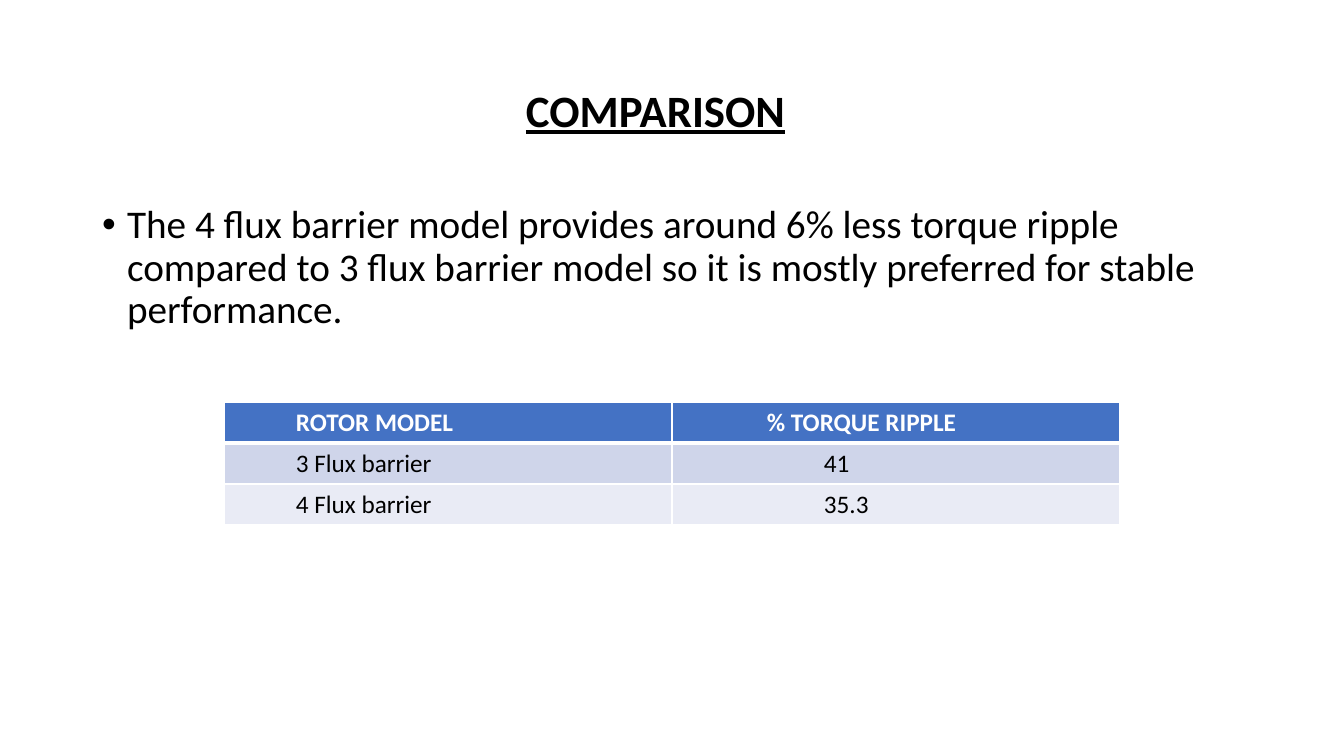
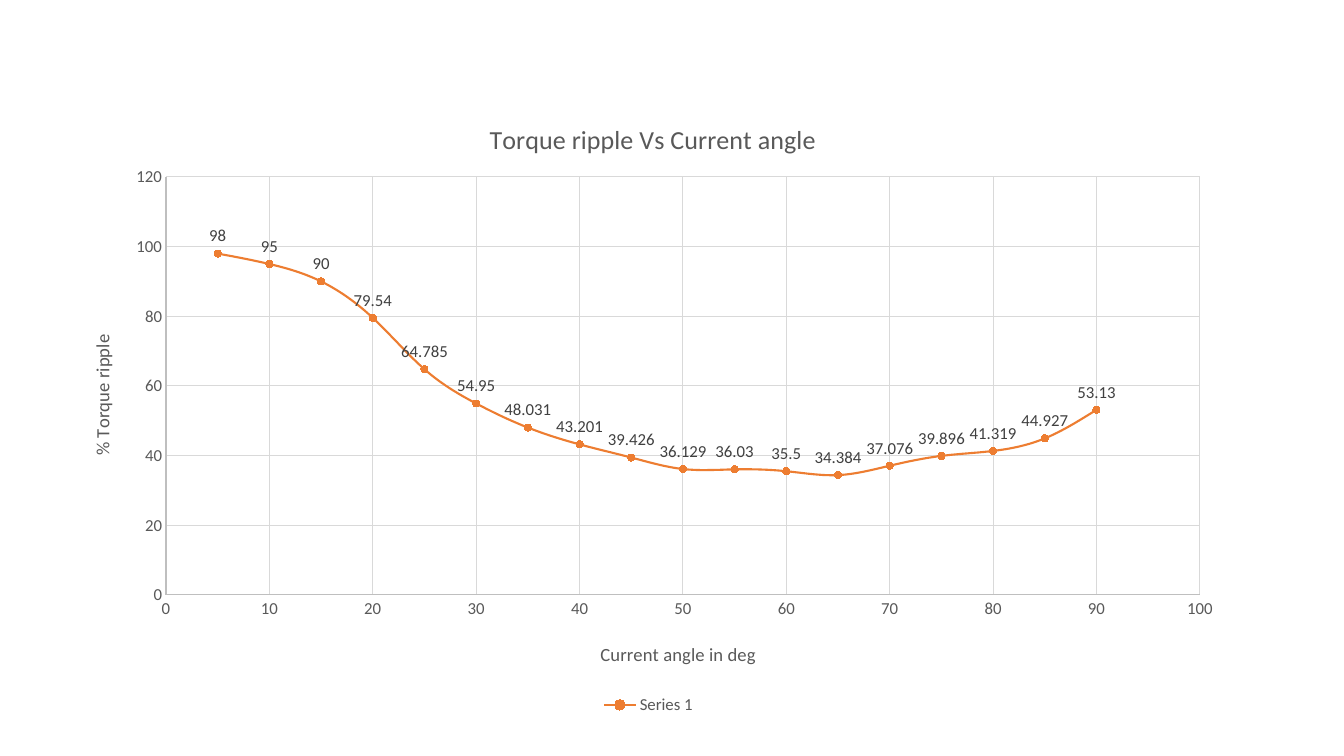
import pptx
import pptx.chart.data
import pptx.chart.datalabel
import pptx.dml.color
import pptx.enum.chart
import pptx.enum.text
import pptx.oxml
import pptx.oxml.ns
import pptx.util

PX_PER_INCH = 100.8
SLIDE_SIZE = (1344, 756)
FONT = "Calibri"
COLORS = {
    "ink": "000000", "white": "FFFFFF", "header": "4472C4",
    "odd_row": "CFD5EA", "even_row": "E9EBF5",
    "curve": "ED7D31", "chart_text": "595959", "value": "404040",
    "axis": "BFBFBF", "grid": "D9D9D9",
}

HEADING = "COMPARISON"
FINDING = ("The 4 flux barrier model provides around 6% less torque ripple compared to "
           "3 flux barrier model so it is mostly preferred for stable performance.")
TITLE_BOX = (92, 40, 1160, 146)
BODY_BOX = (92, 200, 1160, 480)
HEADING_INDENT = 434
BULLET_INDENT = 25

RIPPLE_ROWS = [
    ("ROTOR MODEL", "% TORQUE RIPPLE"),
    ("3 Flux barrier", "41"),
    ("4 Flux barrier", "35.3"),
]
TABLE_BOX = (224, 402, 896, 123)
ROW_FILLS = ("header", "odd_row", "even_row")
CELL_INDENTS = [(72, 95), (72, 152), (72, 152)]

CHART_BOX = (61, 94, 1175, 625)
PLOT_BOX = (166, 177, 1034, 418)
CHART_TITLE = ("Torque ripple Vs Current angle", 18.6, (485, 116))
AXES = [
    # title, title position, maximum, step
    ("Current angle in deg", (597, 638), 100, 10),
    ("% Torque ripple", (86, 331), 120, 20),
]
AXIS_TITLE_SIZE = 13.3
SERIES_NAME = "Series 1"
ANGLE_STEP = 5
RIPPLES = [98, 95, 90, 79.54, 64.785, 54.95, 48.031, 43.201, 39.426, 36.129,
           36.03, 35.5, 34.384, 37.076, 39.896, 41.319, 44.927, 53.13]

qn = pptx.oxml.ns.qn


def px(length):
    return pptx.util.Emu(round(length * 914400 / PX_PER_INCH))


def rgb(name):
    return pptx.dml.color.RGBColor.from_string(COLORS[name])


def set_values(target, values):
    for attribute, value in values.items():
        setattr(target, attribute, value)


def style_font(font, size, color, **extra):
    set_values(font, {"name": FONT, "size": pptx.util.Pt(size), **extra})
    font.color.rgb = rgb(color)


def style_line(line, color, width):
    line.color.rgb = rgb(color)
    line.width = pptx.util.Pt(width)


def place(shape, box):
    set_values(shape, dict(zip(("left", "top", "width", "height"), map(px, box))))


def fill_placeholder(placeholder, box, text, frame_values, paragraph_values):
    place(placeholder, box)
    frame = placeholder.text_frame
    frame.text = text
    set_values(frame, {"auto_size": pptx.enum.text.MSO_AUTO_SIZE.NONE,
                       "word_wrap": True, **frame_values})
    paragraph = frame.paragraphs[0]
    set_values(paragraph, {"alignment": pptx.enum.text.PP_ALIGN.LEFT,
                           "line_spacing": 0.9, **paragraph_values})
    return paragraph


def border_cell(cell, bottom_width):
    """Put white rules on the four sides of a cell, ahead of its fill."""
    properties = cell._tc.get_or_add_tcPr()
    sides = [("L", 1), ("R", 1), ("T", 1), ("B", bottom_width)]
    for position, (side, width) in enumerate(sides):
        rule = pptx.oxml.parse_xml(
            f'<a:ln{side} {pptx.oxml.ns.nsdecls("a")} w="{pptx.util.Pt(width)}">'
            f'<a:solidFill><a:srgbClr val="{COLORS["white"]}"/></a:solidFill></a:ln{side}>')
        properties.insert(position, rule)


def add_ripple_table(slide):
    table = slide.shapes.add_table(
        len(RIPPLE_ROWS), len(RIPPLE_ROWS[0]), *map(px, TABLE_BOX)).table
    for row, texts in enumerate(RIPPLE_ROWS):
        is_header = row == 0
        for column, text in enumerate(texts):
            cell = table.cell(row, column)
            cell.text = text
            cell.margin_left = px(CELL_INDENTS[row][column])
            cell.fill.solid()
            cell.fill.fore_color.rgb = rgb(ROW_FILLS[row])
            border_cell(cell, 3 if is_header else 1)
            style_font(cell.text_frame.paragraphs[0].runs[0].font, 18,
                       "white" if is_header else "ink", bold=is_header)


def add_comparison_slide(deck):
    slide = deck.slides.add_slide(deck.slide_layouts[1])
    heading = fill_placeholder(
        slide.shapes.title, TITLE_BOX, HEADING,
        {"margin_left": px(HEADING_INDENT),
         "vertical_anchor": pptx.enum.text.MSO_ANCHOR.MIDDLE}, {})
    style_font(heading.runs[0].font, 32, "ink", bold=True, underline=True)

    finding = fill_placeholder(
        slide.placeholders[1], BODY_BOX, FINDING, {},
        {"space_before": pptx.util.Pt(0)})
    indents = finding._p.get_or_add_pPr()
    indents.set("marL", str(px(BULLET_INDENT)))
    indents.set("indent", str(-px(BULLET_INDENT)))
    style_font(finding.runs[0].font, 28, "ink")
    add_ripple_table(slide)


def set_layout(element, left, top, width=None, height=None):
    """Fix a chart part at slide coordinates, as fractions of the chart."""
    chart_left, chart_top, chart_width, chart_height = CHART_BOX
    layout = element.find(qn("c:layout"))
    if layout is None:
        layout = pptx.oxml.parse_xml(f'<c:layout {pptx.oxml.ns.nsdecls("c")}/>')
        element.insert(0, layout)
    manual = layout.makeelement(qn("c:manualLayout"), {})
    layout.append(manual)
    values = [("xMode", "edge"), ("yMode", "edge"),
              ("x", (left - chart_left) / chart_width),
              ("y", (top - chart_top) / chart_height)]
    if width is not None:
        values = [("layoutTarget", "inner"), *values,
                  ("w", width / chart_width), ("h", height / chart_height)]
    for tag, value in values:
        part = manual.makeelement(qn(f"c:{tag}"), {"val": str(value)})
        manual.append(part)


def write_chart_title(title, text, size, position):
    title.text_frame.text = text
    style_font(title.text_frame.paragraphs[0].runs[0].font, size, "chart_text", bold=False)
    set_layout(title._element, *position)


def style_axis(axis, title, position, maximum, step):
    no_tick = pptx.enum.chart.XL_TICK_MARK.NONE
    set_values(axis, {
        "minimum_scale": 0, "maximum_scale": maximum, "major_unit": step,
        "major_tick_mark": no_tick, "minor_tick_mark": no_tick,
        "has_major_gridlines": True, "has_title": True,
    })
    style_font(axis.tick_labels.font, 12, "chart_text")
    style_line(axis.format.line, "axis", 0.75)
    style_line(axis.major_gridlines.format.line, "grid", 0.75)
    write_chart_title(axis.axis_title, title, AXIS_TITLE_SIZE, position)


def style_curve(curve):
    style_line(curve.format.line, "curve", 1.5)
    curve._element.get_or_add_smooth().val = True
    set_values(curve.marker, {"style": pptx.enum.chart.XL_MARKER_STYLE.CIRCLE, "size": 5})
    curve.marker.format.fill.solid()
    curve.marker.format.fill.fore_color.rgb = rgb("curve")
    style_line(curve.marker.format.line, "curve", 0.75)
    labels = pptx.chart.datalabel.DataLabels(curve._element.get_or_add_dLbls())
    set_values(labels, {"show_value": True,
                        "position": pptx.enum.chart.XL_LABEL_POSITION.ABOVE})
    style_font(labels.font, 12, "value")


def add_ripple_chart_slide(deck):
    slide = deck.slides.add_slide(deck.slide_layouts[6])
    data = pptx.chart.data.XyChartData()
    points = data.add_series(SERIES_NAME)
    for number, ripple in enumerate(RIPPLES, start=1):
        points.add_data_point(number * ANGLE_STEP, ripple)
    chart = slide.shapes.add_chart(
        pptx.enum.chart.XL_CHART_TYPE.XY_SCATTER_SMOOTH, *map(px, CHART_BOX), data).chart

    style_font(chart.font, 10, "ink")
    set_values(chart, {"has_title": True, "has_legend": True})
    write_chart_title(chart.chart_title, *CHART_TITLE)
    set_values(chart.legend, {"position": pptx.enum.chart.XL_LEGEND_POSITION.BOTTOM,
                              "include_in_layout": False})
    style_font(chart.legend.font, 12, "chart_text")
    for axis, settings in zip((chart.category_axis, chart.value_axis), AXES):
        style_axis(axis, *settings)
    plot = chart.plots[0]
    plot.vary_by_categories = False
    style_curve(plot.series[0])
    set_layout(chart._chartSpace.chart.plotArea, *PLOT_BOX)


def main():
    deck = pptx.Presentation()
    deck.slide_width, deck.slide_height = map(px, SLIDE_SIZE)
    add_comparison_slide(deck)
    add_ripple_chart_slide(deck)
    deck.save("out.pptx")


if __name__ == "__main__":
    main()
